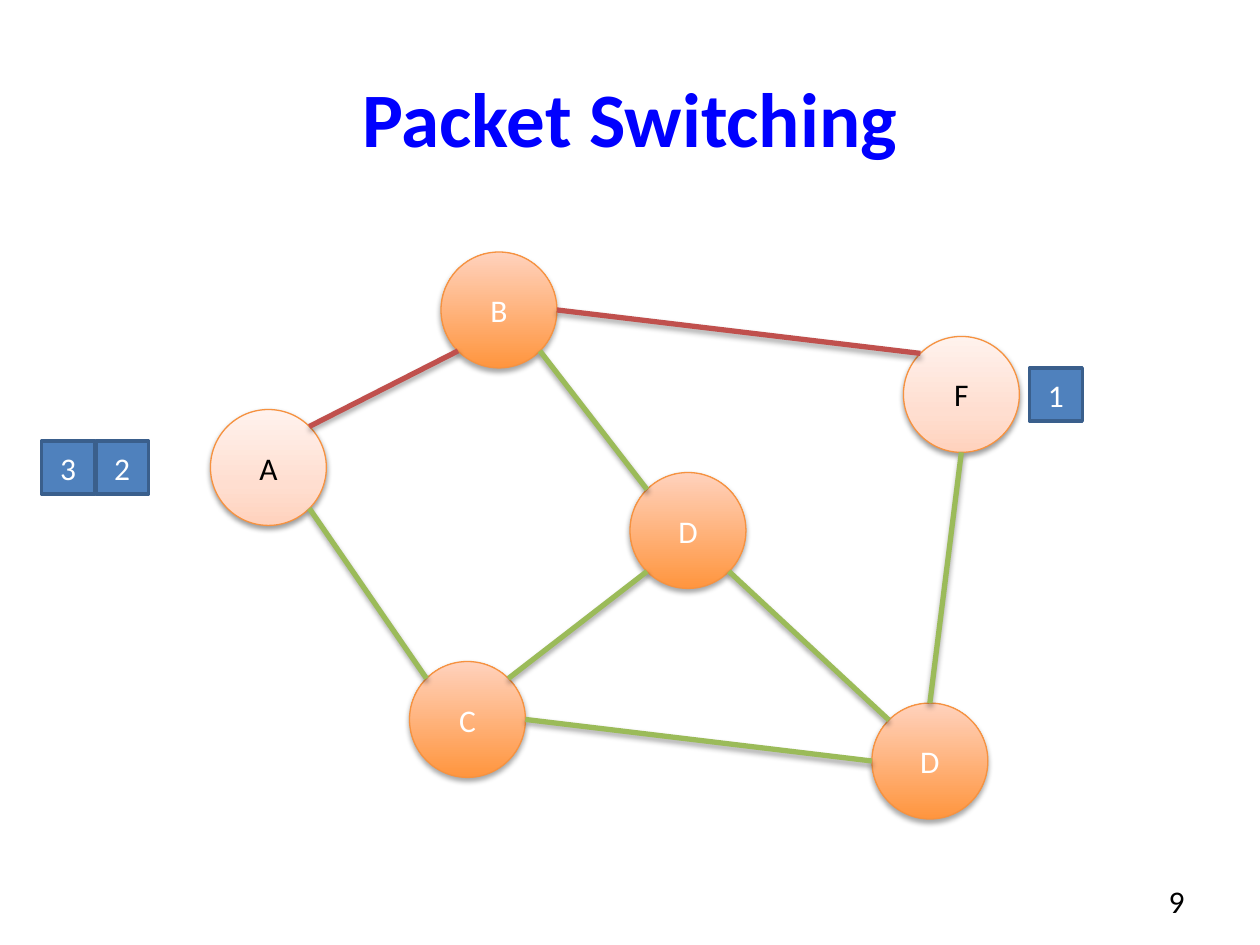
"""Build a slide that shows packets crossing a switched network."""
from copy import deepcopy
from math import cos, radians, sin

from lxml import etree
from pptx import Presentation
from pptx.dml.color import RGBColor
from pptx.enum.shapes import MSO_CONNECTOR, MSO_SHAPE
from pptx.enum.text import MSO_ANCHOR, PP_ALIGN
from pptx.oxml.ns import qn
from pptx.util import Inches, Pt

OVAL, SQUARE, STRAIGHT = MSO_SHAPE.OVAL, MSO_SHAPE.RECTANGLE, MSO_CONNECTOR.STRAIGHT
LEFT, CENTER, RIGHT = PP_ALIGN.LEFT, PP_ALIGN.CENTER, PP_ALIGN.RIGHT
TOP, MIDDLE = MSO_ANCHOR.TOP, MSO_ANCHOR.MIDDLE

BLACK = RGBColor(0x00, 0x00, 0x00)
WHITE = RGBColor(0xFF, 0xFF, 0xFF)
TITLE_BLUE = RGBColor(0x00, 0x00, 0xFF)
PACKET_BLUE = RGBColor(0x4F, 0x81, 0xBD)
PACKET_EDGE = RGBColor(0x3A, 0x5F, 0x8C)
NODE_EDGE = RGBColor(0xF6, 0x92, 0x40)
ORANGE = RGBColor(0xFF, 0x95, 0x3E)
PEACH = RGBColor(0xFF, 0xD2, 0xBD)
PALE_PEACH = RGBColor(0xFF, 0xDE, 0xD0)
CREAM = RGBColor(0xFF, 0xF2, 0xED)
ROUTE_RED = RGBColor(0xC0, 0x50, 0x4D)
LINK_GREEN = RGBColor(0x9B, 0xBB, 0x59)

NODE_SIZE, PACKET_SIZE = 0.92, 0.42
HOST = {"stops": [(0, PEACH), (0.35, PALE_PEACH), (1, CREAM)], "color": BLACK,
        "shadow": {"alpha": 38, "distance": 1.6}}
SWITCH = {"stops": [(0, ORANGE), (1, PEACH)], "color": WHITE,
          "shadow": {"alpha": 35, "distance": 1.8}}

NODES = {
    "A": ("A", 1.67, 3.25, HOST),
    "C": ("C", 3.25, 5.25, SWITCH),
    "B": ("B", 3.5, 2, SWITCH),
    "D middle": ("D", 5, 3.75, SWITCH),
    "F": ("F", 7.17, 2.67, HOST),
    "D lower": ("D", 6.92, 5.58, SWITCH),
}
PACKETS = [("3", 0.33, 3.5), ("2", 0.76, 3.5), ("1", 8.17, 2.92)]
LINKS = [
    ("A", "top right", "B", "bottom left", ROUTE_RED),
    ("A", "bottom right", "C", "top left", LINK_GREEN),
    ("D middle", "bottom left", "C", "top right", LINK_GREEN),
    ("D middle", "top left", "B", "bottom right", LINK_GREEN),
    ("F", "top left", "B", "right", ROUTE_RED),
    ("D lower", "top left", "D middle", "bottom right", LINK_GREEN),
    ("D lower", "left", "C", "right", LINK_GREEN),
    ("F", "bottom", "D lower", "top", LINK_GREEN),
]
RIM_ANGLES = {"right": 0, "bottom right": 45, "bottom": 90, "bottom left": 135,
              "left": 180, "top left": 225, "top": 270, "top right": 315}


def write(shape, text, color, size=18, bold=False, align=CENTER, anchor=MIDDLE):
    frame = shape.text_frame
    frame.word_wrap = True
    frame.vertical_anchor = anchor
    paragraph = frame.paragraphs[0]
    paragraph.text = text
    paragraph.alignment = align
    for name, value in {"name": "Calibri", "size": Pt(size), "bold": bold}.items():
        setattr(paragraph.font, name, value)
    paragraph.font.color.rgb = color


def draw_line(line, color, width):
    line.color.rgb = color
    line.width = Pt(width)


def add_shadow(effects, alpha, distance):
    shadow = etree.SubElement(effects, qn("a:outerShdw"), blurRad=str(Pt(3.1)),
                              dist=str(Pt(distance)), dir="5400000", rotWithShape="0")
    color = etree.SubElement(shadow, qn("a:srgbClr"), val=str(BLACK))
    etree.SubElement(color, qn("a:alpha"), val=str(alpha * 1000))


def add_shape(slide, kind, left, top, size):
    shape = slide.shapes.add_shape(kind, Inches(left), Inches(top), Inches(size), Inches(size))
    shape.shadow.inherit = False
    return shape


def add_node(slide, label, left, top, style):
    node = add_shape(slide, OVAL, left, top, NODE_SIZE)
    node.fill.gradient()
    node.fill.gradient_angle = 90
    stop_list = node._element.spPr.find(".//" + qn("a:gsLst"))
    while len(stop_list) < len(style["stops"]):
        stop_list.append(deepcopy(stop_list[-1]))
    for stop, (position, color) in zip(node.fill.gradient_stops, style["stops"]):
        stop.position = position
        stop.color.rgb = color
    draw_line(node.line, NODE_EDGE, 0.75)
    add_shadow(node._element.spPr.find(qn("a:effectLst")), **style["shadow"])
    write(node, label, style["color"])


def add_packet(slide, label, left, top):
    packet = add_shape(slide, SQUARE, left, top, PACKET_SIZE)
    packet.fill.solid()
    packet.fill.fore_color.rgb = PACKET_BLUE
    draw_line(packet.line, PACKET_EDGE, 2)
    write(packet, label, WHITE)


def rim_point(node, side):
    _, left, top, _ = NODES[node]
    radius, angle = NODE_SIZE / 2, radians(RIM_ANGLES[side])
    return Inches(left + radius * (1 + cos(angle))), Inches(top + radius * (1 + sin(angle)))


def add_link(slide, start, start_side, end, end_side, color):
    link = slide.shapes.add_connector(STRAIGHT, *rim_point(start, start_side),
                                      *rim_point(end, end_side))
    draw_line(link.line, color, 3)
    add_shadow(etree.SubElement(link._element.spPr, qn("a:effectLst")), **SWITCH["shadow"])


def add_text(slide, box, text, color, **style):
    write(slide.shapes.add_textbox(*map(Inches, box)), text, color, **style)


def main():
    deck = Presentation()
    deck.slide_width, deck.slide_height = Inches(10), Inches(7.5)
    slide = deck.slides.add_slide(deck.slide_layouts[6])
    add_text(slide, (0.5, 0.3, 9, 1.25), "Packet Switching", TITLE_BLUE, size=44, bold=True)
    for node in NODES.values():
        add_node(slide, *node)
    for packet in PACKETS:
        add_packet(slide, *packet)
    for link in LINKS:
        add_link(slide, *link)
    add_text(slide, (7.17, 6.95, 2.33, 0.4), "9", BLACK, align=RIGHT, anchor=TOP)
    deck.save("out.pptx")


if __name__ == "__main__":
    main()
